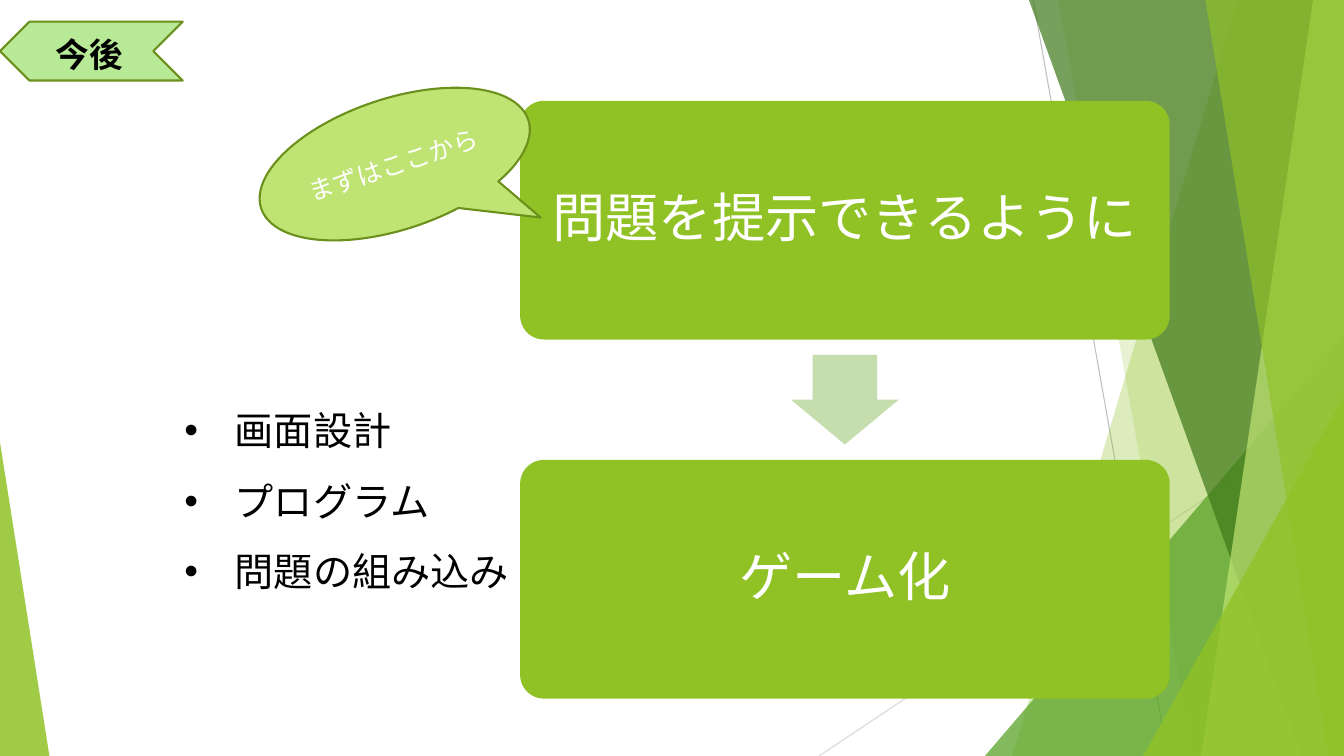
"""Build the slide on next steps: two stages joined by an arrow, with a task list."""
import pptx
import pptx.util
import pptx.dml.color
import pptx.enum.shapes
import pptx.enum.text
import pptx.oxml.ns
import lxml.etree

Pt = pptx.util.Pt
RGBColor = pptx.dml.color.RGBColor
SHAPE = pptx.enum.shapes.MSO_SHAPE
ANCHOR = pptx.enum.text.MSO_ANCHOR
ALIGN = pptx.enum.text.PP_ALIGN
FIT = pptx.enum.text.MSO_AUTO_SIZE
qn = pptx.oxml.ns.qn

GREEN = RGBColor(0x90, 0xC2, 0x26)
LEAF = RGBColor(0x54, 0xA0, 0x21)
FOREST = RGBColor(0x3F, 0x78, 0x19)
LIME = RGBColor(0xC0, 0xE4, 0x74)
MINT = RGBColor(0xB7, 0xE9, 0x96)
SAGE = RGBColor(0xC6, 0xDD, 0xAD)
OLIVE = RGBColor(0x6B, 0x90, 0x1C)
GREY = RGBColor(0xBF, 0xBF, 0xBF)
PALE_GREY = RGBColor(0xD9, 0xD9, 0xD9)
BLACK = RGBColor(0, 0, 0)
WHITE = RGBColor(0xFF, 0xFF, 0xFF)
WIDTH, HEIGHT = 960, 540


def paint(shape, colour, opacity=100, outline=None):
    shape.shadow.inherit = False
    shape.fill.solid()
    shape.fill.fore_color.rgb = colour
    if opacity < 100:
        tint = shape.fill._xPr.find(qn("a:solidFill"))[0]
        lxml.etree.SubElement(tint, qn("a:alpha")).set("val", str(opacity * 1000))
    if outline is None:
        shape.line.fill.background()
    else:
        shape.line.color.rgb = outline
        shape.line.width = Pt(1.5)


def style(frame, size, colour, align=ALIGN.LEFT, bold=False, spacing=1.0):
    for para in frame.paragraphs:
        para.alignment = align
        para.line_spacing = spacing
        para.space_before = Pt(0)
        para.font.name = "Karla"
        para.font.size = Pt(size)
        para.font.bold = bold
        para.font.color.rgb = colour


deck = pptx.Presentation()
deck.slide_width, deck.slide_height = Pt(WIDTH), Pt(HEIGHT)
page = deck.slides.add_slide(deck.slide_layouts[1])
shapes = page.shapes
title, tasks = page.placeholders

for start_x, start_y, end_x, colour in [(738, 0, 834, GREY), (WIDTH, 290, 585, PALE_GREY)]:
    ray = shapes.add_connector(
        pptx.enum.shapes.MSO_CONNECTOR.STRAIGHT, Pt(start_x), Pt(start_y), Pt(end_x), Pt(HEIGHT))
    ray.line.color.rgb = colour
    ray.line.width = Pt(0.75)
    lxml.etree.SubElement(ray.element.spPr, qn("a:effectLst"))

facets = [
    ("band", 884, 723, GREEN, 30),
    ("band", 756, 852, GREEN, 20),
    ("triangle", 703.5, 240, LEAF, 72),
    ("band", 735, 930, FOREST, 70),
    ("band", 938, 858, LIME, 70),
    ("band", 861, 949, GREEN, 65),
    ("triangle", 816.5, 283, GREEN, 80),
]
for kind, first, second, colour, opacity in facets:
    if kind == "band":
        outline = shapes.build_freeform(Pt(first), Pt(0))
        outline.add_line_segments(
            [(Pt(WIDTH), Pt(0)), (Pt(WIDTH), Pt(HEIGHT)), (Pt(second), Pt(HEIGHT))], close=True)
        facet = outline.convert_to_shape()
    else:
        facet = shapes.add_shape(
            SHAPE.ISOSCELES_TRIANGLE, Pt(first), Pt(second), Pt(WIDTH - first), Pt(HEIGHT - second))
        facet.adjustments[0] = 1
    paint(facet, colour, opacity)

corner = shapes.add_shape(SHAPE.ISOSCELES_TRIANGLE, Pt(0), Pt(316), Pt(35.3), Pt(224))
corner.adjustments[0] = 0
paint(corner, GREEN, 85)

ribbon = shapes.add_shape(SHAPE.CHEVRON, Pt(0), Pt(15.5), Pt(130.5), Pt(42))
ribbon.rotation = 180
paint(ribbon, MINT, outline=OLIVE)

title.left, title.top, title.width, title.height = Pt(32.4), Pt(20.9), Pt(84), Pt(36)
title.text_frame.text = "今後"
title.text_frame.vertical_anchor = ANCHOR.TOP
title.text_frame.auto_size = FIT.SHAPE_TO_FIT_TEXT
style(title.text_frame, 24, BLACK, bold=True)
shapes.element.append(title.element)

for top, wording in [(72, "問題を提示できるように"), (328.5, "ゲーム化")]:
    stage = shapes.add_shape(SHAPE.ROUNDED_RECTANGLE, Pt(371.5), Pt(top), Pt(464), Pt(170.5))
    stage.adjustments[0] = 0.1
    paint(stage, GREEN)
    frame = stage.text_frame
    frame.text = wording
    frame.word_wrap = True
    frame.vertical_anchor = ANCHOR.MIDDLE
    frame.margin_left = frame.margin_right = frame.margin_top = frame.margin_bottom = Pt(11.5)
    style(frame, 38, WHITE, ALIGN.CENTER, spacing=0.9)

arrow = shapes.add_shape(SHAPE.RIGHT_ARROW, Pt(571.5), Pt(247), Pt(64), Pt(77))
arrow.rotation = 90
arrow.adjustments[0] = 0.6
paint(arrow, SAGE)

callout = shapes.add_shape(SHAPE.OVAL_CALLOUT, Pt(181.5), Pt(70.5), Pt(201), Pt(93.5))
callout.rotation = 341.6
callout.element.spPr.find(qn("a:xfrm")).set("flipH", "1")
callout.adjustments[0], callout.adjustments[1] = -0.432, 0.739
paint(callout, LIME, outline=OLIVE)
callout.text_frame.text = "まずはここから"
callout.text_frame.word_wrap = True
callout.text_frame.vertical_anchor = ANCHOR.MIDDLE
style(callout.text_frame, 18, WHITE)

tasks.left, tasks.top, tasks.width, tasks.height = Pt(124.5), Pt(270), Pt(252), Pt(181.5)
tasks.text_frame.text = "画面設計\nプログラム\n問題の組み込み"
tasks.text_frame.auto_size = FIT.SHAPE_TO_FIT_TEXT
style(tasks.text_frame, 28, BLACK, spacing=1.5)
for para in tasks.text_frame.paragraphs:
    settings = para._p.get_or_add_pPr()
    settings.set("marL", str(Pt(36)))
    settings.set("indent", str(Pt(-36)))
shapes.element.append(tasks.element)

deck.save("out.pptx")
